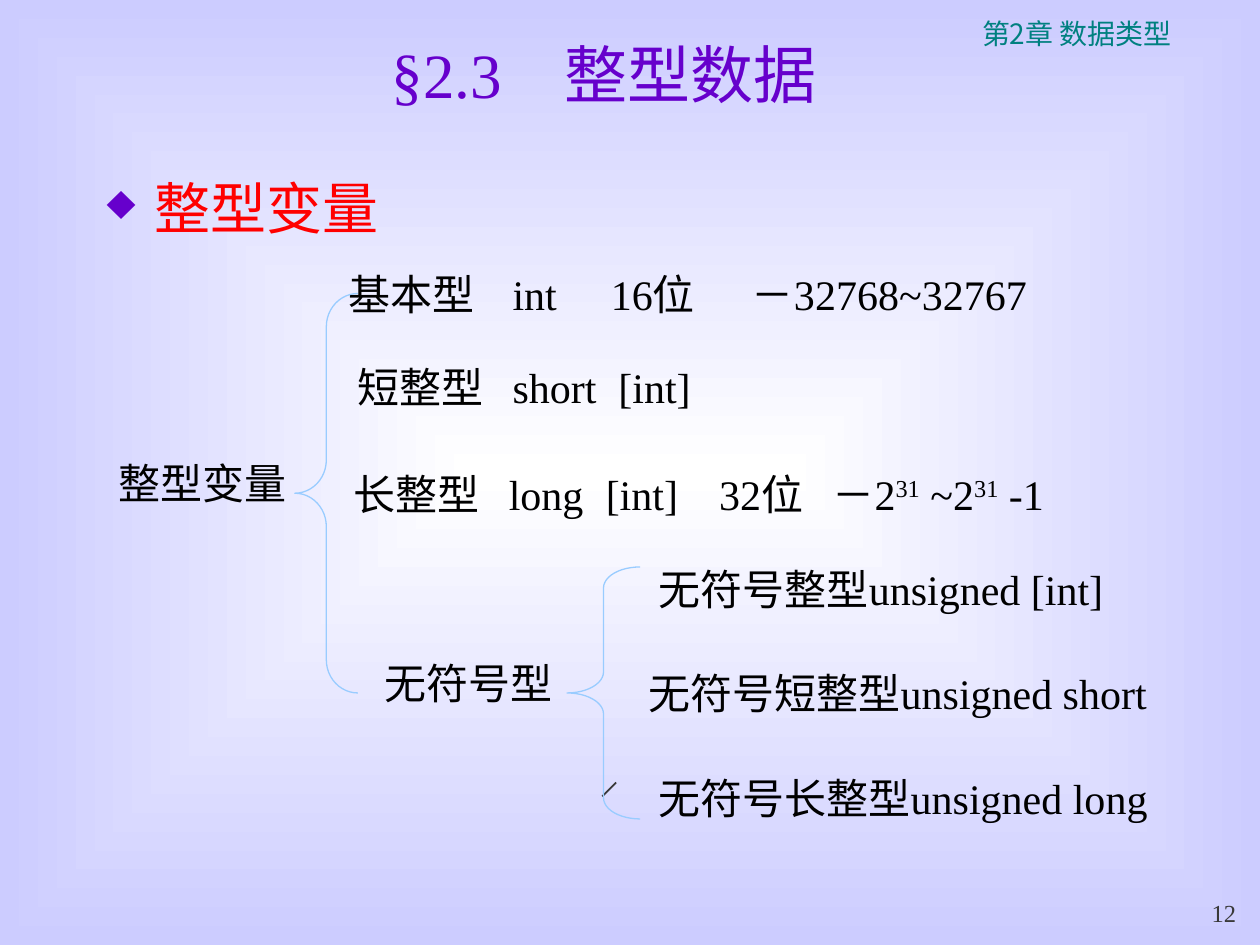
from lxml.etree import SubElement
from pptx import Presentation
from pptx.dml.color import RGBColor
from pptx.enum.shapes import MSO_CONNECTOR, MSO_SHAPE
from pptx.enum.text import MSO_ANCHOR as ANCHOR, PP_ALIGN as ALIGN
from pptx.oxml.ns import qn
from pptx.util import Inches, Pt

LATIN, CJK = "Times New Roman", "Noto Sans CJK JP"
BLACK, GREY, RED, TEAL = "000000", "393939", "FF0000", "008080"
PURPLE, BLUE, LAVENDER, WHITE = "6600CC", "99CCFF", "CCCCFF", "FFFFFF"

# left, top, width, text ("^" switches superscript on and off), tab stops
TREE = [
    (0.84, 3.58, 1.54, "整型变量", []),
    (2.67, 2.08, 5.8, "基本型\tint\t16位\t－32768~32767", [1.3, 2.08, 3.2]),
    (2.74, 2.82, 3.3, "短整型\tshort\t[int]", [1.23, 2.07]),
    (2.71, 3.67, 5.9, "长整型\tlong\t[int]\t32位\t－2^31^ ~2^31^ -1",
     [1.23, 2, 2.9, 3.8]),
    (2.95, 5.17, 1.54, "无符号型", []),
    (5.13, 4.42, 3.81, "无符号整型unsigned [int]", []),
    (5.05, 5.25, 4.24, "无符号短整型unsigned short", []),
    (5.13, 6.08, 4.16, "无符号长整型unsigned long", []),
]
BRACES = [(2.34, 2.33, 0.5, 3.17), (4.5, 4.5, 0.58, 2)]
TICK = (4.89, 6.21, 4.78, 6.32)


def rgb(color):
    return RGBColor.from_string(color)


def inches(values):
    return [Inches(v) for v in values]


def add_text(s, box, text, size=24, color=BLACK, font=LATIN, align=ALIGN.LEFT,
             anchor=ANCHOR.TOP, wrap=True, tabs=()):
    tf = s.shapes.add_textbox(*inches(box)).text_frame
    tf.word_wrap, tf.vertical_anchor = wrap, anchor
    p = tf.paragraphs[0]
    p.alignment = align
    for i, part in enumerate(text.split("^")):
        r = p.add_run()
        r.text = part
        r.font.size, r.font.name = Pt(size), font
        r.font.color.rgb = rgb(color)
        rPr = r.font._element
        SubElement(rPr, qn("a:ea"), typeface=CJK)
        if i % 2:
            rPr.set("baseline", "30000")
    if tabs:
        stops = SubElement(p._p.get_or_add_pPr(), qn("a:tabLst"))
        for pos in tabs:
            SubElement(stops, qn("a:tab"), pos=str(Inches(pos)), algn="l")
    return p


def add_bullet(p, char, color, percent, indent):
    pPr = p._p.get_or_add_pPr()
    pPr.set("marL", str(Inches(indent)))
    pPr.set("indent", str(-Inches(indent)))
    SubElement(SubElement(pPr, qn("a:buClr")), qn("a:srgbClr"), val=color)
    SubElement(pPr, qn("a:buSzPct"), val=str(percent * 1000))
    SubElement(pPr, qn("a:buChar"), char=char)


def set_background(s):
    """Fill the slide with a rectangular gradient, lightest in the middle."""
    fill = s.background.fill
    fill.gradient()
    for stop, color in zip(fill.gradient_stops, (WHITE, LAVENDER)):
        stop.color.rgb = rgb(color)
    grad = s.element.find(".//" + qn("a:gradFill"))
    grad.remove(grad.find(qn("a:lin")))
    shade = SubElement(grad, qn("a:path"), path="rect")
    SubElement(shade, qn("a:fillToRect"),
               {side: "50000" for side in ("l", "t", "r", "b")})


def add_brace(s, box):
    brace = s.shapes.add_shape(MSO_SHAPE.LEFT_BRACE, *inches(box))
    brace.shadow.inherit = False
    brace.fill.background()
    brace.line.color.rgb, brace.line.width = rgb(BLUE), Pt(0.75)
    width, height = box[2:]
    brace.adjustments[0] = height / 12 / width  # each curve: 1/12 of the height


def add_tick(s, ends):
    tick = s.shapes.add_connector(MSO_CONNECTOR.STRAIGHT, *inches(ends))
    tick.line.color.rgb, tick.line.width = rgb(GREY), Pt(1)
    SubElement(tick._element.spPr, qn("a:effectLst"))


def main():
    prs = Presentation()
    prs.slide_width, prs.slide_height = inches((10, 7.5))
    s = prs.slides.add_slide(prs.slide_layouts[6])
    set_background(s)
    add_text(s, (7.17, 0.08, 2.75, 0.37), "第2章 数据类型", size=16, color=TEAL,
             font=CJK, align=ALIGN.CENTER)
    add_text(s, (1.42, 0.17, 6.75, 0.83), "§2.3　整型数据", size=36, color=PURPLE,
             align=ALIGN.CENTER, anchor=ANCHOR.MIDDLE)
    p = add_text(s, (0.75, 1.33, 8.5, 5.17), "整型变量", size=32, color=RED)
    p.space_before = Pt(8)
    add_bullet(p, "♦", PURPLE, 90, 0.38)
    for left, top, width, text, tabs in TREE:
        add_text(s, (left, top, width, 0.5), text, wrap=bool(tabs), tabs=tabs)
    add_tick(s, TICK)
    for box in BRACES:
        add_brace(s, box)
    add_text(s, (9.33, 7.08, 0.58, 0.33), "12", size=14, color=GREY,
             align=ALIGN.RIGHT, anchor=ANCHOR.BOTTOM)
    prs.save("out.pptx")


if __name__ == "__main__":
    main()
